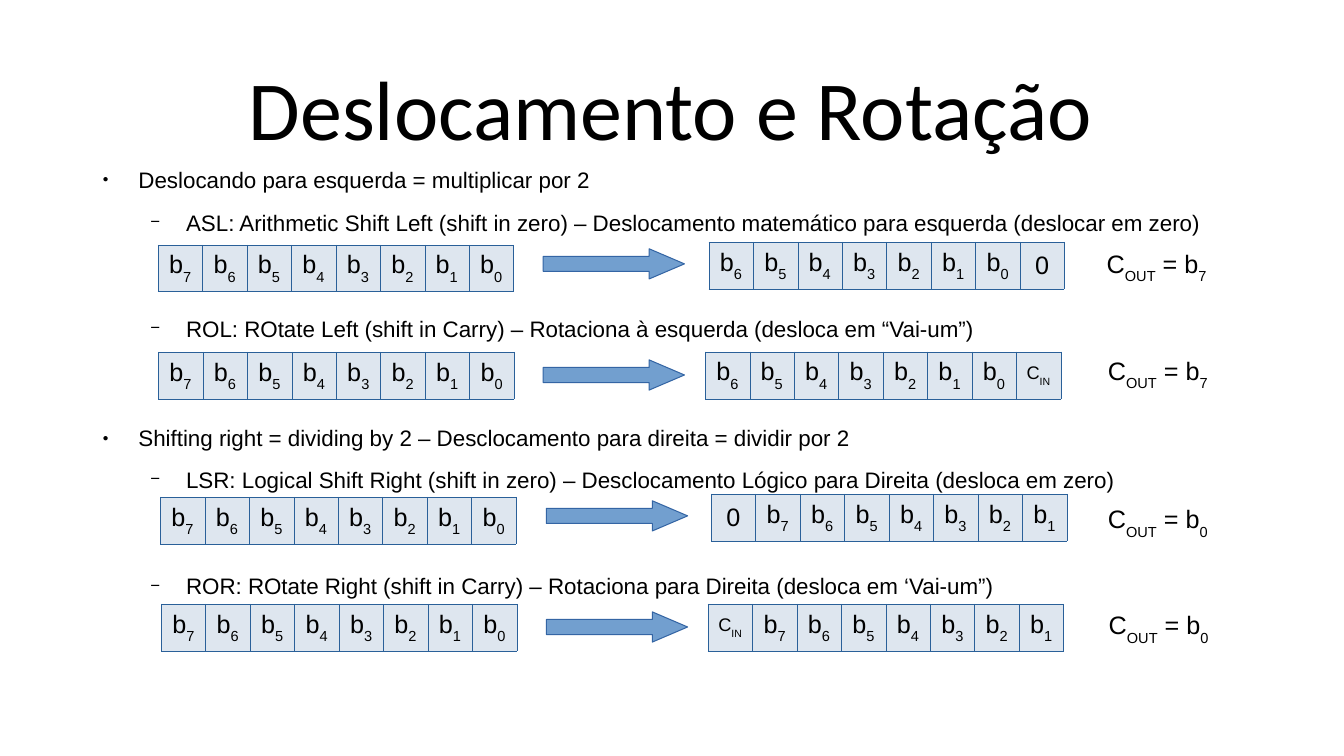
from lxml import etree
from pptx import Presentation
from pptx import util as u
from pptx.dml.color import RGBColor
from pptx.enum import shapes, text
from pptx.oxml import ns

BLACK = RGBColor(0, 0, 0)
CELL_FILL = RGBColor(0xDE, 0xE6, 0xEF)
CELL_BORDER = RGBColor(0x2A, 0x60, 0x99)
ARROW_FILL = RGBColor(0x72, 0x9F, 0xCF)
ARROW_LINE = RGBColor(0x34, 0x65, 0xA4)

BIT_WIDTH = 1.12
REGISTER = [("b", str(n)) for n in range(7, -1, -1)]
ZERO = ("0", "")
CARRY_IN = ("C", "IN")

TOPICS = [
    (0, 0, "Deslocando para esquerda = multiplicar por 2"),
    (1, 11.3, "ASL: Arithmetic Shift Left (shift in zero) – "
              "Deslocamento matemático para esquerda (deslocar em zero)"),
    (1, 56.5, "ROL: ROtate Left (shift in Carry) – Rotaciona à esquerda (desloca em “Vai-um”)"),
    (0, 59, "Shifting right = dividing by 2 – Desclocamento para direita = dividir por 2"),
    (1, 10.5, "LSR: Logical Shift Right (shift in zero) – "
              "Desclocamento Lógico para Direita (desloca em zero)"),
    (1, 57, "ROR: ROtate Right (shift in Carry) – Rotaciona para Direita (desloca em ‘Vai-um”)"),
]
BULLETS = [("●", 45000), ("−", 75000)]

OPERATIONS = [
    ("left", ZERO, 1.12, (3.98, 6.17), (13.69, 6.27), (17.86, 6.1), (27.64, 6.13)),
    ("left", CARRY_IN, 1.19, (3.99, 8.87), (13.69, 9.07), (17.77, 8.86), (27.67, 8.83)),
    ("right", ZERO, 1.19, (4.04, 12.52), (13.77, 12.62), (17.92, 12.45), (27.67, 12.57)),
    ("right", CARRY_IN, 1.19, (4.06, 15.22), (13.77, 15.42), (17.84, 15.22), (27.69, 15.24)),
]


def add_run(paragraph, words, size, font="Arial", subscript=False):
    """Add one formatted run, lowered when it is a subscript."""
    run = paragraph.add_run()
    run.text = words
    run.font.size = u.Pt(size)
    run.font.name = font
    run.font.color.rgb = BLACK
    if subscript:
        run.font._element.set("baseline", "-33000")


def add_symbol(paragraph, symbol, size):
    """Write a letter followed by its subscript, if it has one."""
    letter, index = symbol
    add_run(paragraph, letter, size)
    if index:
        add_run(paragraph, index, size, subscript=True)


def add_text_box(slide, left, top, width, height):
    """Add a wrapping text box and give back its text frame."""
    box = slide.shapes.add_textbox(u.Cm(left), u.Cm(top), u.Cm(width), u.Cm(height))
    box.text_frame.word_wrap = True
    return box.text_frame


def write_title(slide, words):
    """Place and fill the title placeholder."""
    title = slide.shapes.title
    title.left, title.top = u.Cm(0.51), u.Cm(1.02)
    title.width, title.height = u.Cm(32.77), u.Cm(3.68)
    title.text_frame.vertical_anchor = text.MSO_ANCHOR.MIDDLE
    heading = title.text_frame.paragraphs[0]
    heading.alignment = text.PP_ALIGN.CENTER
    heading.line_spacing = 0.9
    add_run(heading, words, 60, "Calibri")


def set_bullet(paragraph, level):
    """Give a paragraph the bullet and hanging indent of its level."""
    mark, percent = BULLETS[level]
    properties = paragraph._p.get_or_add_pPr()
    properties.set("marL", str(u.Cm(1.2 * (level + 1))))
    properties.set("indent", str(u.Cm(-0.9)))
    color = etree.SubElement(properties, ns.qn("a:buClr"))
    etree.SubElement(color, ns.qn("a:srgbClr"), val=str(BLACK))
    etree.SubElement(properties, ns.qn("a:buSzPct"), val=str(percent))
    etree.SubElement(properties, ns.qn("a:buFont"), typeface="Arial")
    etree.SubElement(properties, ns.qn("a:buChar"), char=mark)


def write_topics(slide):
    """Write the bulleted list, leaving room for the diagrams."""
    frame = add_text_box(slide, 2.04, 4.06, 29.21, 14.48)
    for position, (level, gap, words) in enumerate(TOPICS):
        topic = frame.add_paragraph() if position else frame.paragraphs[0]
        topic.level = level
        set_bullet(topic, level)
        topic.space_before = u.Pt(gap)
        add_run(topic, words, 16)


def set_borders(cell):
    """Draw a hairline on the four sides of a cell."""
    properties = cell._tc.get_or_add_tcPr()
    for side in ("lnL", "lnR", "lnT", "lnB"):
        line = etree.SubElement(properties, ns.qn(f"a:{side}"), w=str(u.Pt(0.06)))
        fill = etree.SubElement(line, ns.qn("a:solidFill"))
        etree.SubElement(fill, ns.qn("a:srgbClr"), val=str(CELL_BORDER))


def add_register(slide, bits, place, height):
    """Draw a register as a one-row table of bits."""
    left, top = place
    register = slide.shapes.add_table(
        1, len(bits), u.Cm(left), u.Cm(top), u.Cm(BIT_WIDTH * len(bits)), u.Cm(height)).table
    register.first_row = register.horz_banding = False
    for cell, bit in zip(register.iter_cells(), bits):
        set_borders(cell)
        cell.fill.solid()
        cell.fill.fore_color.rgb = CELL_FILL
        cell.vertical_anchor = text.MSO_ANCHOR.MIDDLE
        paragraph = cell.text_frame.paragraphs[0]
        paragraph.alignment = text.PP_ALIGN.CENTER
        add_symbol(paragraph, bit, 13 if bit == CARRY_IN else 18)


def add_arrow(slide, place):
    """Draw the arrow from the register to its result."""
    left, top = place
    arrow = slide.shapes.add_shape(
        shapes.MSO_SHAPE.RIGHT_ARROW, u.Cm(left), u.Cm(top), u.Cm(3.56), u.Cm(0.76))
    arrow.adjustments[0], arrow.adjustments[1] = 0.5, 1.17
    arrow.shadow.inherit = False
    arrow.fill.solid()
    arrow.fill.fore_color.rgb = ARROW_FILL
    arrow.line.color.rgb = ARROW_LINE
    arrow.line.width = u.Pt(0)


def add_carry_out(slide, bit, place):
    """Write which bit leaves through the carry."""
    equation = add_text_box(slide, *place, 4.32, 1.12).paragraphs[0]
    add_symbol(equation, ("C", "OUT"), 18)
    add_symbol(equation, (" = " + bit[0], bit[1]), 18)


def add_operation(slide, direction, entering, height, before, arrow, after, carry):
    """Draw one shift or rotation with its result and carry."""
    if direction == "left":
        result, leaving = REGISTER[1:] + [entering], REGISTER[0]
    else:
        result, leaving = [entering] + REGISTER[:-1], REGISTER[-1]
    add_register(slide, REGISTER, before, height)
    add_arrow(slide, arrow)
    add_register(slide, result, after, height)
    add_carry_out(slide, leaving, carry)


def main():
    """Build the slide on shifts and rotations."""
    deck = Presentation()
    deck.slide_width, deck.slide_height = u.Cm(33.87), u.Cm(19.05)
    slide = deck.slides.add_slide(deck.slide_layouts[5])
    write_title(slide, "Deslocamento e Rotação")
    write_topics(slide)
    for operation in OPERATIONS:
        add_operation(slide, *operation)
    deck.save("out.pptx")


if __name__ == "__main__":
    main()
